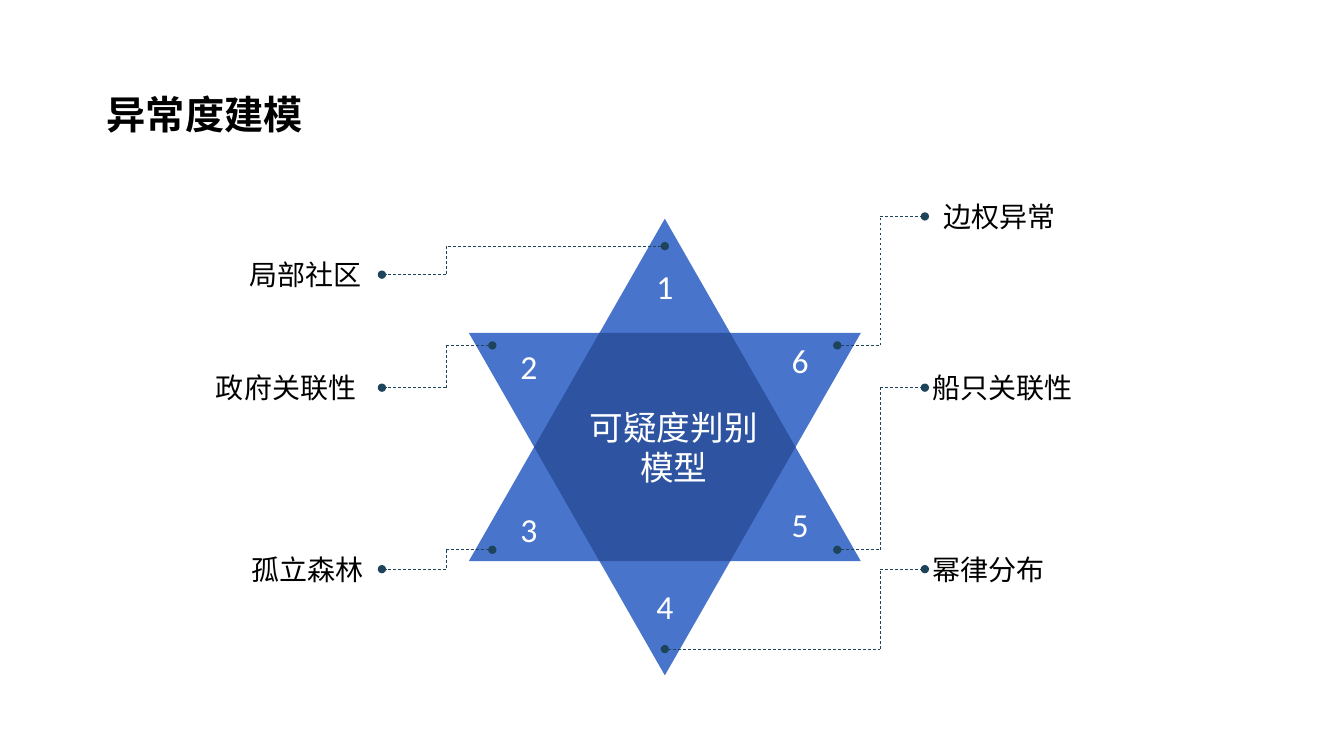
"""Build a slide with a six-pointed star whose points lead to labels."""
from itertools import pairwise

from pptx import Presentation
from pptx import util as u
from pptx.dml.color import RGBColor
from pptx.enum import dml, shapes, text
from pptx.oxml.ns import qn

SLIDE_WIDTH, SLIDE_HEIGHT = 13.33, 7.5
STAR_LEFT, STAR_TOP = 4.65, 2.17
COLUMN, ROW = 0.648, 1.1325
STAR_BLUE, CORE_BLUE, LEADER_BLUE = "4874CB", "2E54A1", "1E445B"
BLACK, WHITE = "000000", "FFFFFF"
CHINESE_FONT, LATIN_FONT = "Noto Sans CJK SC", "Calibri"

NUMBERS = [
    ("1", 3, 0.59), ("2", 0.92, 1.29), ("3", 0.92, 2.72),
    ("4", 3, 3.39), ("5", 5.07, 2.67), ("6", 5.07, 1.24),
]
LEFT_ELBOW, LEFT_DOT = -0.35, -1.33
RIGHT_ELBOW, RIGHT_DOT = 6.3, 6.98
LEFT_BRANCHES = [
    ("局部社区", -3.36, 0.49, 3, 0.24),
    ("政府关联性", -3.87, 1.48, 0.36, 1.11),
    ("孤立森林", -3.33, 3.07, 0.36, 2.9),
]
RIGHT_BRANCHES = [
    ("边权异常", 7.27, -0.02, 5.64, 1.11),
    ("船只关联性", 7.1, 1.48, 5.64, 2.9),
    ("幂律分布", 7.1, 3.07, 3, 3.77),
]


def color(hex_value):
    """Return the colour for a hex string."""
    return RGBColor.from_string(hex_value)


def point(column, row):
    """Return the slide position of a place on the star's grid."""
    return u.Inches(STAR_LEFT + column * COLUMN), u.Inches(STAR_TOP + row * ROW)


def box(column, row, columns, rows):
    """Return left, top, width and height of an area on the star's grid."""
    return (*point(column, row), u.Inches(columns * COLUMN), u.Inches(rows * ROW))


def paint(shape, hex_value):
    """Fill a shape plainly, without outline or shadow."""
    shape.fill.solid()
    shape.fill.fore_color.rgb = color(hex_value)
    shape.line.fill.background()
    shape.shadow.inherit = False


def write(shape, words, size, font, hex_value, align=text.PP_ALIGN.LEFT, bold=False):
    """Put one formatted paragraph in a shape."""
    frame = shape.text_frame
    frame.text = words
    frame.vertical_anchor = text.MSO_ANCHOR.MIDDLE
    paragraph = frame.paragraphs[0]
    paragraph.alignment = align
    run = paragraph.runs[0]
    run.font.size = u.Pt(size)
    run.font.name = font
    run.font.bold = bold
    run.font.color.rgb = color(hex_value)
    east_asian = run.font._element.makeelement(qn("a:ea"), {"typeface": CHINESE_FONT})
    run.font._element.find(qn("a:latin")).addnext(east_asian)


def remove_insets(shape):
    """Let wrapped text use the whole area of a shape."""
    frame = shape.text_frame
    frame.margin_left = frame.margin_right = frame.margin_top = frame.margin_bottom = 0
    frame.word_wrap = True


def add_title(slide, words):
    """Place and format the title."""
    title = slide.shapes.title
    title.left, title.top = u.Inches(0.072 * SLIDE_WIDTH), u.Inches(0.112 * SLIDE_HEIGHT)
    title.width, title.height = u.Inches(0.163 * SLIDE_WIDTH), u.Inches(0.076 * SLIDE_HEIGHT)
    write(title, words, 28, CHINESE_FONT, BLACK, bold=True)
    title.text_frame.word_wrap = False
    title.text_frame.auto_size = text.MSO_AUTO_SIZE.NONE


def add_triangle(slide, row, rotation):
    """Add one of the two large triangles of the star."""
    triangle = slide.shapes.add_shape(
        shapes.MSO_SHAPE.ISOSCELES_TRIANGLE, *box(0, row, 6, 3))
    triangle.rotation = rotation
    paint(triangle, STAR_BLUE)


def add_number(slide, words, column, row):
    """Add a number centred on a grid place."""
    columns, rows = 0.76, 0.35
    number = slide.shapes.add_shape(
        shapes.MSO_SHAPE.RECTANGLE,
        *box(column - columns / 2, row - rows / 2, columns, rows))
    paint(number, STAR_BLUE)
    remove_insets(number)
    write(number, words, 24, LATIN_FONT, WHITE, text.PP_ALIGN.CENTER)


def add_core(slide):
    """Add the hexagon where the triangles overlap."""
    start, *corners = [point(*place) for place in
                       [(4, 1), (5, 2), (4, 3), (2, 3), (1, 2), (2, 1)]]
    builder = slide.shapes.build_freeform(*start)
    builder.add_line_segments(corners, close=True)
    paint(builder.convert_to_shape(), CORE_BLUE)


def add_text(slide, words, area, size, font, hex_value, align=text.PP_ALIGN.LEFT):
    """Add a text box without insets."""
    text_box = slide.shapes.add_textbox(*area)
    remove_insets(text_box)
    write(text_box, words, size, font, hex_value, align)


def add_leader(slide, places):
    """Add a dashed, bent leader with a dot at both outer ends."""
    endings = ["headEnd", None, "tailEnd"]
    for (start, end), ending in zip(pairwise(places), endings):
        connector = slide.shapes.add_connector(
            shapes.MSO_CONNECTOR.STRAIGHT, *point(*start), *point(*end))
        connector.line.color.rgb = color(LEADER_BLUE)
        connector.line.width = u.Pt(0.5)
        connector.line.dash_style = dml.MSO_LINE.DASH
        properties = connector._element.spPr
        properties.append(properties.makeelement(qn("a:effectLst"), {}))
        if ending:
            line = properties.find(qn("a:ln"))
            line.append(line.makeelement(qn(f"a:{ending}"), {"type": "oval"}))


def add_branch(slide, branch, elbow, dot):
    """Add a label and its leader from a star point."""
    words, label_column, label_row, star_column, star_row = branch
    add_text(slide, words, box(label_column, label_row - 0.15, 4.78, 0.3),
             20, LATIN_FONT, BLACK)
    add_leader(slide, [(star_column, star_row), (elbow, star_row),
                       (elbow, label_row), (dot, label_row)])


def main():
    """Build and save the slide."""
    presentation = Presentation()
    presentation.slide_width = u.Inches(SLIDE_WIDTH)
    presentation.slide_height = u.Inches(SLIDE_HEIGHT)
    slide = presentation.slides.add_slide(presentation.slide_layouts[5])
    add_title(slide, "异常度建模")
    add_triangle(slide, 1, 180)
    add_triangle(slide, 0, 0)
    for number in NUMBERS:
        add_number(slide, *number)
    add_core(slide)
    add_text(slide, "可疑度判别模型", box(1.81, 1.64, 2.65, 0.72),
             24, CHINESE_FONT, WHITE, text.PP_ALIGN.CENTER)
    for branch in LEFT_BRANCHES:
        add_branch(slide, branch, LEFT_ELBOW, LEFT_DOT)
    for branch in RIGHT_BRANCHES:
        add_branch(slide, branch, RIGHT_ELBOW, RIGHT_DOT)
    presentation.save("out.pptx")


if __name__ == "__main__":
    main()
